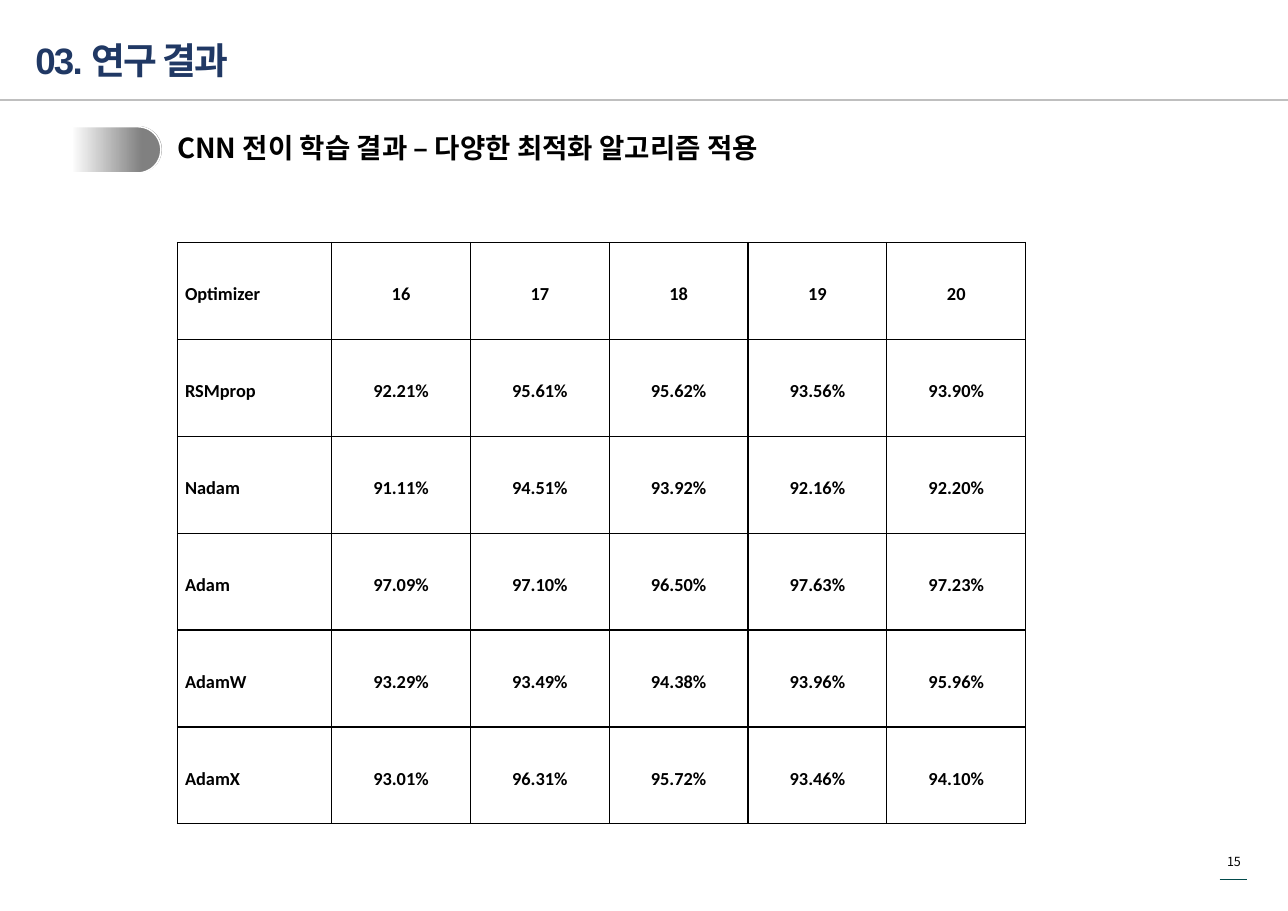
from dataclasses import dataclass

from lxml import etree
from pptx import Presentation
from pptx.dml.color import RGBColor
from pptx.enum.shapes import MSO_CONNECTOR, MSO_SHAPE
from pptx.enum.text import MSO_ANCHOR, MSO_AUTO_SIZE, PP_ALIGN
from pptx.oxml import parse_xml
from pptx.oxml.ns import qn
from pptx.util import Inches, Pt

LEFT, CENTER = PP_ALIGN.LEFT, PP_ALIGN.CENTER
TOP, MIDDLE = MSO_ANCHOR.TOP, MSO_ANCHOR.MIDDLE
NS = "http://schemas.openxmlformats.org/drawingml/2006/main"

# Content
TITLE = "03. 연구 결과"
HEADING = "CNN 전이 학습 결과 – 다양한 최적화 알고리즘 적용"
PAGE = "15"
ROWS = [
    ("Optimizer", "16", "17", "18", "19", "20"),
    ("RSMprop", "92.21%", "95.61%", "95.62%", "93.56%", "93.90%"),
    ("Nadam", "91.11%", "94.51%", "93.92%", "92.16%", "92.20%"),
    ("Adam", "97.09%", "97.10%", "96.50%", "97.63%", "97.23%"),
    ("AdamW", "93.29%", "93.49%", "94.38%", "93.96%", "95.96%"),
    ("AdamX", "93.01%", "96.31%", "95.72%", "93.46%", "94.10%"),
]


@dataclass(frozen=True)
class Theme:
    navy: str = "203864"
    black: str = "000000"
    white: str = "FFFFFF"
    gray: str = "BFBFBF"
    teal: str = "024A4B"
    latin: str = "Arial"
    cell: str = "Calibri"
    korean: str = "Noto Sans CJK KR"
    title_size: float = 24
    head_size: float = 18
    cell_size: float = 12
    page_size: float = 8.2
    border: float = 0.85


theme = Theme()


def put_text(frame, text, size, font=theme.korean, color=theme.black,
             bold=True, align=LEFT, anchor=TOP, leading=None, track=0):
    """Fill a text frame with one formatted line."""
    frame.word_wrap = True
    frame.vertical_anchor = anchor
    para = frame.paragraphs[0]
    para.alignment = align
    para.line_spacing = leading
    run = para.add_run()
    run.text = text
    run.font.size, run.font.bold, run.font.name = Pt(size), bold, font
    run.font.color.rgb = RGBColor.from_string(color)
    props = run.font._element
    props.set("spc", str(round(track * 100)))
    etree.SubElement(props, qn("a:ea"), typeface=theme.korean)


def add_box(slide, area, margin=None):
    frame = slide.shapes.add_textbox(*map(Inches, area)).text_frame
    if margin is not None:
        frame.margin_left = frame.margin_right = Inches(margin)
        frame.margin_top = frame.margin_bottom = Inches(margin)
    return frame


def add_rule(slide, left, right, y, color, width):
    rule = slide.shapes.add_connector(
        MSO_CONNECTOR.STRAIGHT, *map(Inches, (left, y, right, y)))
    rule.line.color.rgb = RGBColor.from_string(color)
    rule.line.width = Pt(width)
    etree.SubElement(rule._element.spPr, qn("a:effectLst"))


def add_badge(slide):
    """Half-round tab that fades out to the left."""
    badge = slide.shapes.add_shape(
        MSO_SHAPE.ROUND_2_SAME_RECTANGLE, *map(Inches, (0.85, 0.96, 0.42, 0.8)))
    badge.rotation = 90
    badge.shadow.inherit = False
    badge.adjustments[0], badge.adjustments[1] = 0.5, 0
    badge.line.color.rgb = RGBColor.from_string(theme.white)
    badge.line.width = Pt(1)
    stops = "".join(
        f'<a:gs pos="{pos}000"><a:srgbClr val="{theme.black}">'
        f'<a:alpha val="{alpha}000"/></a:srgbClr></a:gs>'
        for pos, alpha in ((22, 50), (100, 0)))
    fade = parse_xml(
        f'<a:gradFill xmlns:a="{NS}" rotWithShape="1"><a:gsLst>{stops}</a:gsLst>'
        '<a:lin ang="5400000" scaled="0"/></a:gradFill>')
    badge._element.spPr.find(qn("a:prstGeom")).addnext(fade)


def add_borders(cell):
    props = cell._tc.get_or_add_tcPr()
    for i, side in enumerate(("lnL", "lnR", "lnT", "lnB")):
        props.insert(i, parse_xml(
            f'<a:{side} xmlns:a="{NS}" w="{Pt(theme.border)}"><a:solidFill>'
            f'<a:srgbClr val="{theme.black}"/></a:solidFill></a:{side}>'))


def add_grid(slide):
    first, other, height = 1.4, 1.26, 0.88
    count, wide = len(ROWS), len(ROWS[0])
    area = (1.61, 2.2, first + other * (wide - 1), height * count)
    table = slide.shapes.add_table(count, wide, *map(Inches, area)).table
    table.first_row = table.horz_banding = False
    for c, col in enumerate(table.columns):
        col.width = Inches(other if c else first)
    for r, row in enumerate(ROWS):
        table.rows[r].height = Inches(height)
        for c, text in enumerate(row):
            cell = table.cell(r, c)
            cell.margin_left = cell.margin_right = Inches(0.07)
            cell.margin_top, cell.margin_bottom = Inches(0.03), 0
            cell.vertical_anchor = MIDDLE
            cell.fill.solid()
            cell.fill.fore_color.rgb = RGBColor.from_string(theme.white)
            add_borders(cell)
            put_text(cell.text_frame, text, theme.cell_size, font=theme.cell,
                     align=CENTER if c else LEFT, anchor=MIDDLE, leading=1.2)


def main():
    deck = Presentation()
    deck.slide_width, deck.slide_height = Inches(11.69), Inches(8.27)
    slide = deck.slides.add_slide(deck.slide_layouts[5])

    # Page number and rules
    put_text(add_box(slide, (10.9, 7.7, 0.6, 0.24)), PAGE, theme.page_size,
             bold=False, align=CENTER)
    add_rule(slide, 11.07, 11.32, 7.98, theme.teal, 0.5)
    add_rule(slide, 0, 11.69, 0.91, theme.gray, 1)

    # Title
    title = slide.shapes.title
    title.left, title.top = Inches(0.22), Inches(0.07)
    title.width, title.height = Inches(4.15), Inches(0.83)
    title.text_frame.auto_size = MSO_AUTO_SIZE.NONE
    put_text(title.text_frame, TITLE, theme.title_size, font=theme.latin,
             color=theme.navy, anchor=MIDDLE, leading=1.3, track=-1.1)

    # Section heading
    put_text(add_box(slide, (1.61, 1.19, 6.16, 0.3), margin=0), HEADING,
             theme.head_size)
    add_badge(slide)

    # Accuracy table
    add_grid(slide)
    deck.save("out.pptx")


if __name__ == "__main__":
    main()
